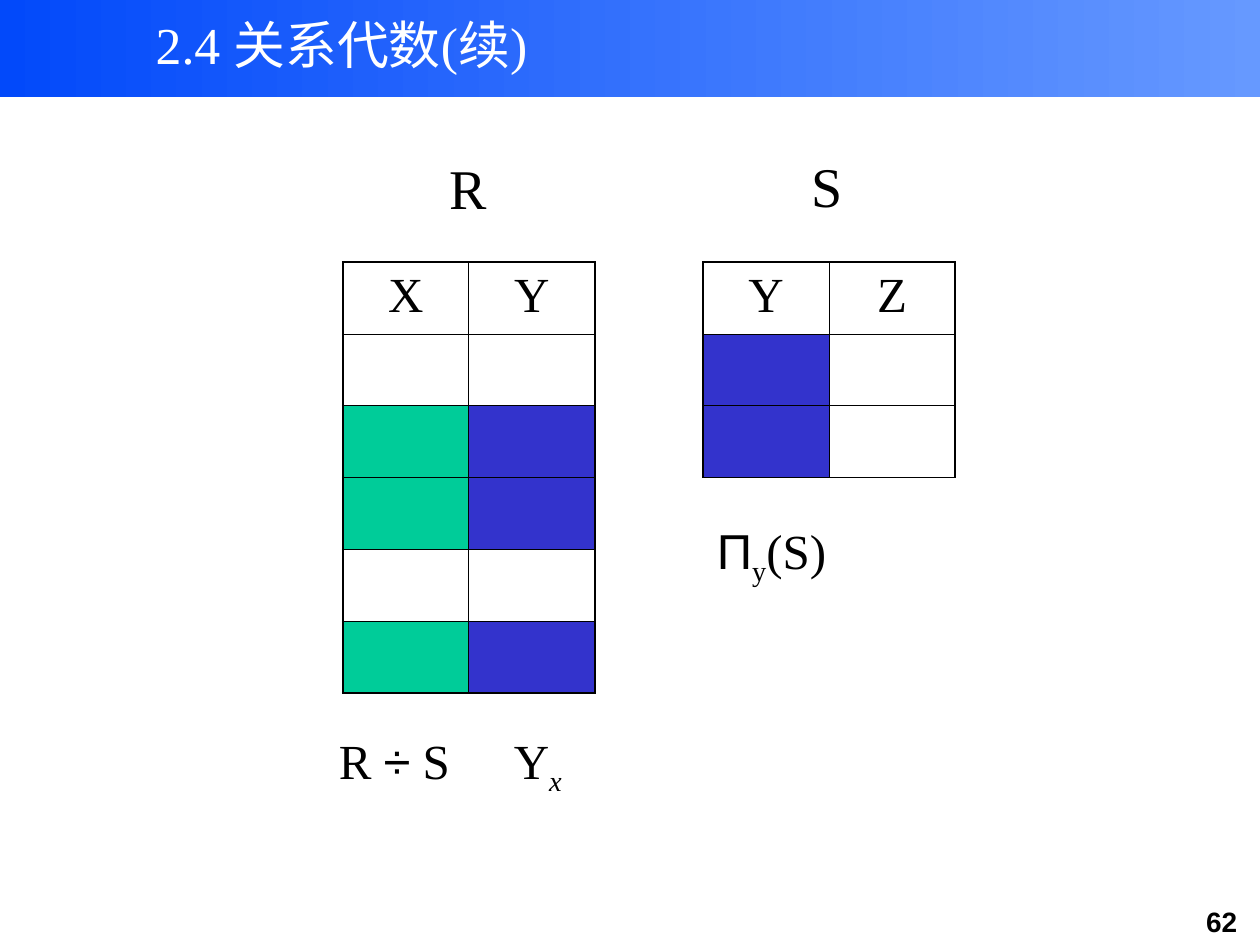
from lxml import etree
from pptx import Presentation
from pptx.dml.color import RGBColor
from pptx.enum.shapes import MSO_SHAPE
from pptx.enum.text import MSO_ANCHOR, PP_ALIGN
from pptx.oxml.ns import qn
from pptx.util import Inches, Pt

BLACK = RGBColor(0x00, 0x00, 0x00)
WHITE = RGBColor(0xFF, 0xFF, 0xFF)
GREEN = RGBColor(0x00, 0xCC, 0x99)
INDIGO = RGBColor(0x33, 0x33, 0xCC)
BANNER_START = RGBColor(0x02, 0x49, 0xFA)
BANNER_END = RGBColor(0x66, 0x99, 0xFF)
CENTER, LEFT = PP_ALIGN.CENTER, PP_ALIGN.LEFT
MIDDLE, TOP = MSO_ANCHOR.MIDDLE, MSO_ANCHOR.TOP
RECTANGLE = MSO_SHAPE.RECTANGLE
SERIF, SANS = "Times New Roman", "Arial"
OUTER_LINE, INNER_LINE = Pt(1.08), Pt(0.45)
ROW_HEIGHT, COLUMN_WIDTH = 0.57, 1


def add_span(para, text, size, font=SERIF, color=BLACK, bold=False, subscript=False, italic=False):
    """Append one formatted run to a paragraph."""
    span = para.add_run()
    span.text = text
    span.font.size = Pt(size)
    span.font.name = font
    span.font.color.rgb = color
    span.font.bold = bold
    span.font.italic = italic
    if subscript:
        span._r.get_or_add_rPr().set("baseline", "-25000")


def add_text(page, box, align=LEFT, anchor=TOP, wrap=False):
    """Add a text box and return its first paragraph."""
    frame = page.shapes.add_textbox(*map(Inches, box)).text_frame
    frame.word_wrap = wrap
    frame.vertical_anchor = anchor
    para = frame.paragraphs[0]
    para.alignment = align
    return para


def add_banner(page, box):
    """Draw the gradient banner with the section title."""
    banner = page.shapes.add_shape(RECTANGLE, *map(Inches, box))
    banner.shadow.inherit = False
    banner.line.fill.background()
    banner.fill.gradient()
    banner.fill.gradient_angle = 0
    for stop, color in zip(banner.fill.gradient_stops, (BANNER_START, BANNER_END)):
        stop.color.rgb = color
    left, top = box[:2]
    title = add_text(page, (left + 0.92, top + 0.01, 3.58, 0.67), CENTER, MIDDLE, True)
    add_span(title, "2.4 关系代数(续)", 29.6, color=WHITE)


def set_border(cell, side, width):
    """Draw one black border of a cell."""
    line = etree.SubElement(cell._tc.get_or_add_tcPr(), qn(f"a:ln{side}"), w=str(width))
    fill = etree.SubElement(line, qn("a:solidFill"))
    etree.SubElement(fill, qn("a:srgbClr"), val=str(BLACK))


def add_relation(page, left, top, header, fills):
    """Draw a relation as a table with a header row and coloured body rows."""
    row_count, column_count = len(fills) + 1, len(header)
    table = page.shapes.add_table(
        row_count, column_count, Inches(left), Inches(top),
        Inches(column_count * COLUMN_WIDTH), Inches(row_count * ROW_HEIGHT)).table
    table.first_row = table.horz_banding = False
    for row_index, colors in enumerate([(None,) * column_count] + fills):
        table.rows[row_index].height = Inches(ROW_HEIGHT)
        for column_index, color in enumerate(colors):
            cell = table.cell(row_index, column_index)
            edges = {"L": column_index == 0, "R": column_index == column_count - 1,
                     "T": row_index == 0, "B": row_index == row_count - 1}
            for side, is_outer in edges.items():
                set_border(cell, side, OUTER_LINE if is_outer else INNER_LINE)
            if color is None:
                cell.fill.background()
            else:
                cell.fill.solid()
                cell.fill.fore_color.rgb = color
    for column_index, name in enumerate(header):
        para = table.cell(0, column_index).text_frame.paragraphs[0]
        para.alignment = CENTER
        add_span(para, name, 28)


def add_dividend(page, left, top):
    """Place relation R with its name and the division labels."""
    add_span(add_text(page, (left + 0.75, top - 0.91, 0.49, 0.64)), "R", 32)
    plain, match = (None, None), (GREEN, INDIGO)
    add_relation(page, left, top, "XY", [plain, match, match, plain, match])
    quotient = add_text(page, (left - 0.13, top + 3.67, 1.18, 0.57))
    add_span(quotient, "R ", 28)
    add_span(quotient, "÷", 28, SANS)
    add_span(quotient, " S", 28)
    image_set = add_text(page, (left + 1.26, top + 3.67, 0.58, 0.63))
    add_span(image_set, "Y", 28)
    add_span(image_set, "x", 28, subscript=True, italic=True)


def add_divisor(page, left, top):
    """Place relation S with its name and the projection label."""
    add_span(add_text(page, (left + 0.76, top - 0.93, 0.45, 0.64)), "S", 32)
    add_relation(page, left, top, "YZ", [(INDIGO, None)] * 2)
    projection = add_text(page, (left + 0.01, top + 2, 1.09, 0.63))
    add_span(projection, "Π", 28, SANS)
    add_span(projection, "y", 28, subscript=True)
    add_span(projection, "(S)", 28)


def add_page_number(page, box):
    """Write the page number."""
    add_span(add_text(page, box, CENTER, wrap=True), "62", 16, SANS, bold=True)


def main():
    """Build and save the deck."""
    deck = Presentation()
    deck.slide_width, deck.slide_height = Inches(10), Inches(7.5)
    page = deck.slides.add_slide(deck.slide_layouts[6])
    add_banner(page, (0, 0, 10, 0.77))
    add_page_number(page, (9.39, 7.13, 0.61, 0.37))
    add_dividend(page, 2.72, 2.08)
    add_divisor(page, 5.58, 2.08)
    deck.save("out.pptx")


if __name__ == "__main__":
    main()
